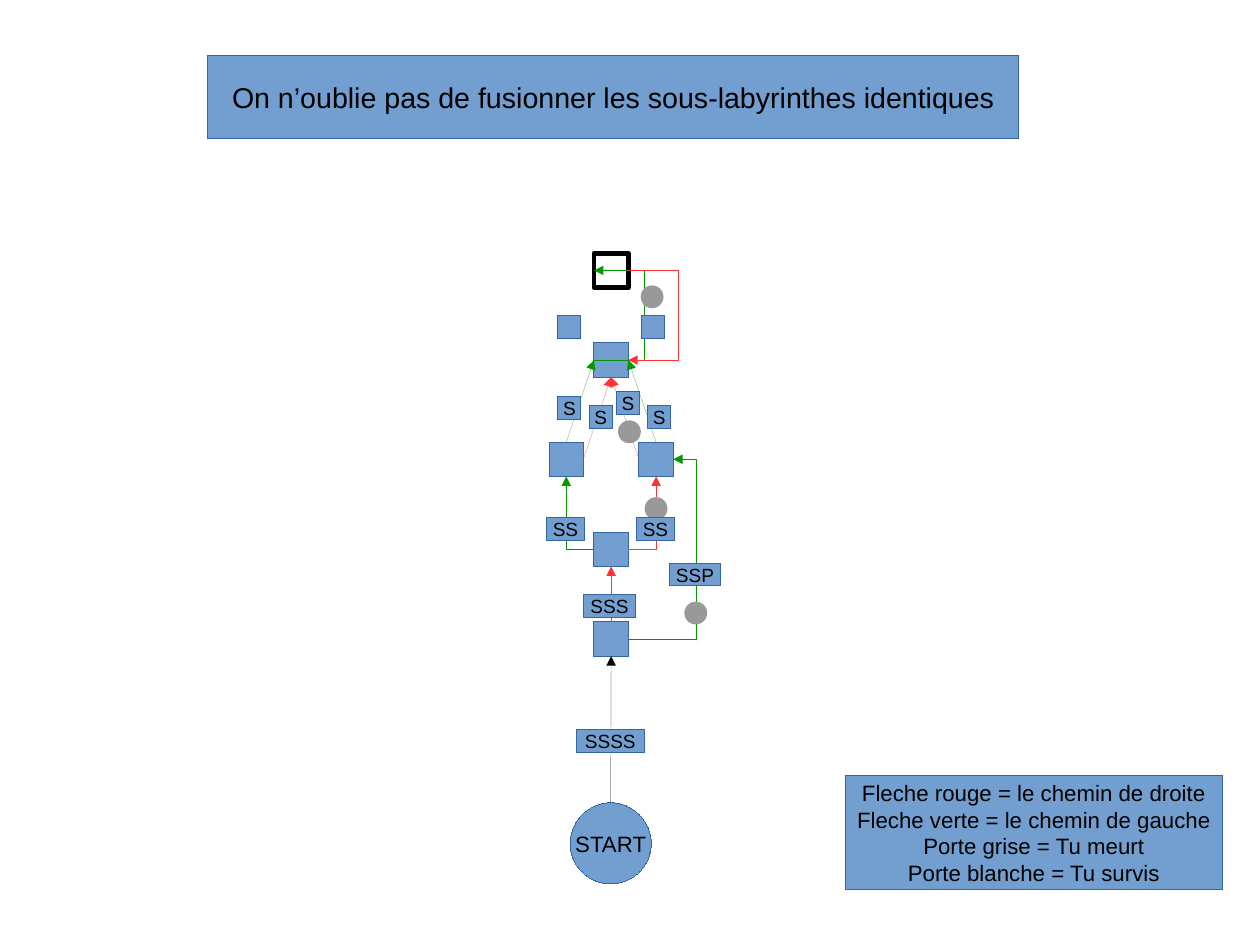
from dataclasses import dataclass

from lxml import etree
from pptx import Presentation
from pptx.dml.color import RGBColor
from pptx.enum.shapes import MSO_CONNECTOR, MSO_SHAPE
from pptx.enum.text import MSO_ANCHOR, MSO_AUTO_SIZE, PP_ALIGN
from pptx.oxml.ns import qn
from pptx.shapes.autoshape import Shape
from pptx.shapes.connector import Connector
from pptx.slide import Slide
from pptx.util import Pt

STRAIGHT, ELBOW = MSO_CONNECTOR.STRAIGHT, MSO_CONNECTOR.ELBOW
RECTANGLE, OVAL = MSO_SHAPE.RECTANGLE, MSO_SHAPE.OVAL
MIDDLE, CENTER = MSO_ANCHOR.MIDDLE, PP_ALIGN.CENTER
NO_FIT = MSO_AUTO_SIZE.NONE
TOP, LEFT, BOTTOM, RIGHT = range(4)
TITLE_ONLY = 5


@dataclass(frozen=True)
class Theme:
    blue: str = "729FCF"
    edge: str = "3465A4"
    white: str = "FFFFFF"
    black: str = "000000"
    green: str = "009900"
    red: str = "FF3333"
    grey: str = "999999"
    font: str = "Arial"
    title_size: float = 18
    text_size: float = 14
    tag_size: float = 12


@dataclass(frozen=True)
class Node:
    """A shape given by its centre and the length of its sides."""
    x: float
    y: float
    side: float = 21.6
    fill: str = Theme.blue
    edge: str = Theme.edge
    edge_width: float = 0
    kind: MSO_SHAPE = RECTANGLE

    def site(self, side: int) -> tuple[float, float]:
        half = self.side / 2
        dx, dy = ((0, -half), (-half, 0), (0, half), (half, 0))[side]
        return self.x + dx, self.y + dy


@dataclass(frozen=True)
class Arrow:
    start: str
    start_side: int
    end: str
    end_side: int
    color: str
    preset: str = ""
    bend: int = 0


@dataclass(frozen=True)
class Loop:
    """An arrow that leaves and returns by way of a vertical at turn_x."""
    start: str
    end: str
    side: int
    turn_x: float
    color: str


@dataclass(frozen=True)
class Tag:
    text: str
    x: float
    y: float


THEME = Theme()
AXIS, STEP = 385, 28.3
NODES = {
    "right": Node(AXIS + STEP, 289.3),
    "hub": Node(AXIS, 226.8),
    "goal": Node(AXIS, 170.4, fill=THEME.white, edge=THEME.black, edge_width=3),
    "left": Node(AXIS - STEP, 289.3),
    "fork": Node(AXIS, 346),
    "entry": Node(AXIS, 402.5),
    "start": Node(384.7, 531.2, side=51.1, kind=OVAL),
}
ARROWS = [
    Arrow("entry", RIGHT, "right", RIGHT, THEME.green, "bentConnector3", 150100),
    Arrow("entry", TOP, "fork", BOTTOM, THEME.red),
    Arrow("fork", LEFT, "left", BOTTOM, THEME.green, "bentConnector2"),
    Arrow("fork", RIGHT, "right", BOTTOM, THEME.red, "bentConnector2"),
    Arrow("start", TOP, "entry", BOTTOM, THEME.black),
    Arrow("left", TOP, "hub", LEFT, THEME.green),
    Arrow("left", RIGHT, "hub", BOTTOM, THEME.red),
    Arrow("right", TOP, "hub", RIGHT, THEME.green),
    Arrow("right", LEFT, "hub", BOTTOM, THEME.red),
]
LOOPS = [
    Loop("hub", "goal", LEFT, 406.1, THEME.green),
    Loop("goal", "hub", RIGHT, 427.2, THEME.red),
]
GREY_DOORS = [(413.3, 320.4), (438.3, 386.2), (396.5, 272), (410.8, 187)]
TAG_HEIGHT = 14.4
TAG_WIDTHS = {0: 14.4, 1: 14.4, 2: 24, 3: 32.4, 4: 43.2}
TAGS = [
    Tag("", 358.7, 206), Tag("", 411.2, 206),
    Tag("S", 358.7, 257), Tag("S", 378.5, 262.6),
    Tag("S", 395.6, 254.1), Tag("S", 415.3, 262.6),
    Tag("SS", 356.2, 333.4), Tag("SS", 412.9, 333.4),
    Tag("SSP", 437.8, 361.9), Tag("SSS", 383.9, 381.6),
    Tag("SSSS", 384.5, 466.6),
]
TITLE = "On n’oublie pas de fusionner les sous-labyrinthes identiques"
LEGEND = "\n".join([
    "Fleche rouge = le chemin de droite",
    "Fleche verte = le chemin de gauche",
    "Porte grise = Tu meurt",
    "Porte blanche = Tu survis",
])


def stroke(item: Shape | Connector, color: str, width: float = 0) -> None:
    """Set the outline, writing the width out even when it is a hairline."""
    item.line.color.rgb = RGBColor.from_string(color)
    item._element.spPr.find(qn("a:ln")).set("w", str(Pt(width)))


def paint(box: Shape, fill: str, edge: str, edge_width: float = 0) -> None:
    box.shadow.inherit = False
    box.fill.solid()
    box.fill.fore_color.rgb = RGBColor.from_string(fill)
    stroke(box, edge, edge_width)


def write(box: Shape, text: str, size: float) -> None:
    frame = box.text_frame
    frame.text = text
    frame.word_wrap = False
    frame.auto_size = NO_FIT
    frame.vertical_anchor = MIDDLE
    frame.margin_left = frame.margin_right = Pt(7.2)
    frame.margin_top = frame.margin_bottom = Pt(3.6)
    for para in frame.paragraphs:
        para.alignment = CENTER
        for span in para.runs:
            span.font.name = THEME.font
            span.font.size = Pt(size)
            span.font.color.rgb = RGBColor.from_string(THEME.black)


def add_node(page: Slide, node: Node) -> Shape:
    left, top = node.x - node.side / 2, node.y - node.side / 2
    box = page.shapes.add_shape(node.kind, Pt(left), Pt(top), Pt(node.side), Pt(node.side))
    paint(box, node.fill, node.edge, node.edge_width)
    return box


def add_line(page: Slide, start: tuple[float, float], end: tuple[float, float],
             color: str, head: bool = True, kind: MSO_CONNECTOR = STRAIGHT) -> Connector:
    line = page.shapes.add_connector(kind, *(Pt(value) for value in start + end))
    stroke(line, color)
    properties = line._element.spPr
    if head:
        etree.SubElement(properties.find(qn("a:ln")), qn("a:tailEnd"), type="triangle")
    etree.SubElement(properties, qn("a:effectLst"))
    return line


def add_arrow(page: Slide, arrow: Arrow, boxes: dict[str, Shape]) -> None:
    line = add_line(page, NODES[arrow.start].site(arrow.start_side),
                    NODES[arrow.end].site(arrow.end_side), arrow.color,
                    kind=ELBOW if arrow.preset else STRAIGHT)
    line.begin_connect(boxes[arrow.start], arrow.start_side)
    line.end_connect(boxes[arrow.end], arrow.end_side)
    if arrow.preset:
        geometry = line._element.spPr.find(qn("a:prstGeom"))
        geometry.set("prst", arrow.preset)
        if arrow.bend:
            guides = geometry.get_or_add_avLst()
            etree.SubElement(guides, qn("a:gd"), name="adj1", fmla=f"val {arrow.bend}")


def add_loop(page: Slide, loop: Loop, boxes: dict[str, Shape]) -> None:
    start, end = NODES[loop.start].site(loop.side), NODES[loop.end].site(loop.side)
    first_turn, last_turn = (loop.turn_x, start[1]), (loop.turn_x, end[1])
    first = add_line(page, start, first_turn, loop.color, head=False)
    first.begin_connect(boxes[loop.start], loop.side)
    add_line(page, first_turn, last_turn, loop.color, head=False)
    last = add_line(page, last_turn, end, loop.color)
    last.end_connect(boxes[loop.end], loop.side)


def add_tag(page: Slide, tag: Tag) -> None:
    width = TAG_WIDTHS[len(tag.text)]
    box = page.shapes.add_shape(RECTANGLE, Pt(tag.x - width / 2), Pt(tag.y - TAG_HEIGHT / 2),
                                Pt(width), Pt(TAG_HEIGHT))
    paint(box, THEME.blue, THEME.edge)
    if tag.text:
        write(box, tag.text, THEME.tag_size)


def main() -> None:
    deck = Presentation()
    deck.slide_width, deck.slide_height = Pt(793.7), Pt(595.28)
    page = deck.slides.add_slide(deck.slide_layouts[TITLE_ONLY])

    title = page.shapes.title
    title.left, title.top, title.width, title.height = Pt(130.7), Pt(35), Pt(511.2), Pt(52)
    paint(title, THEME.blue, THEME.edge)
    write(title, TITLE, THEME.title_size)

    boxes = {name: add_node(page, node) for name, node in NODES.items()}
    write(boxes["start"], "START", THEME.text_size)
    for arrow in ARROWS:
        add_arrow(page, arrow, boxes)
    for loop in LOOPS:
        add_loop(page, loop, boxes)
    for x, y in GREY_DOORS:
        door = add_node(page, Node(x, y, 14.4, THEME.grey, kind=OVAL))
        door.line.fill.background()
    for tag in TAGS:
        add_tag(page, tag)

    legend = page.shapes.add_shape(RECTANGLE, Pt(532.5), Pt(488.5), Pt(237.6), Pt(72))
    paint(legend, THEME.blue, THEME.edge)
    write(legend, LEGEND, THEME.text_size)
    deck.save("out.pptx")


if __name__ == "__main__":
    main()
